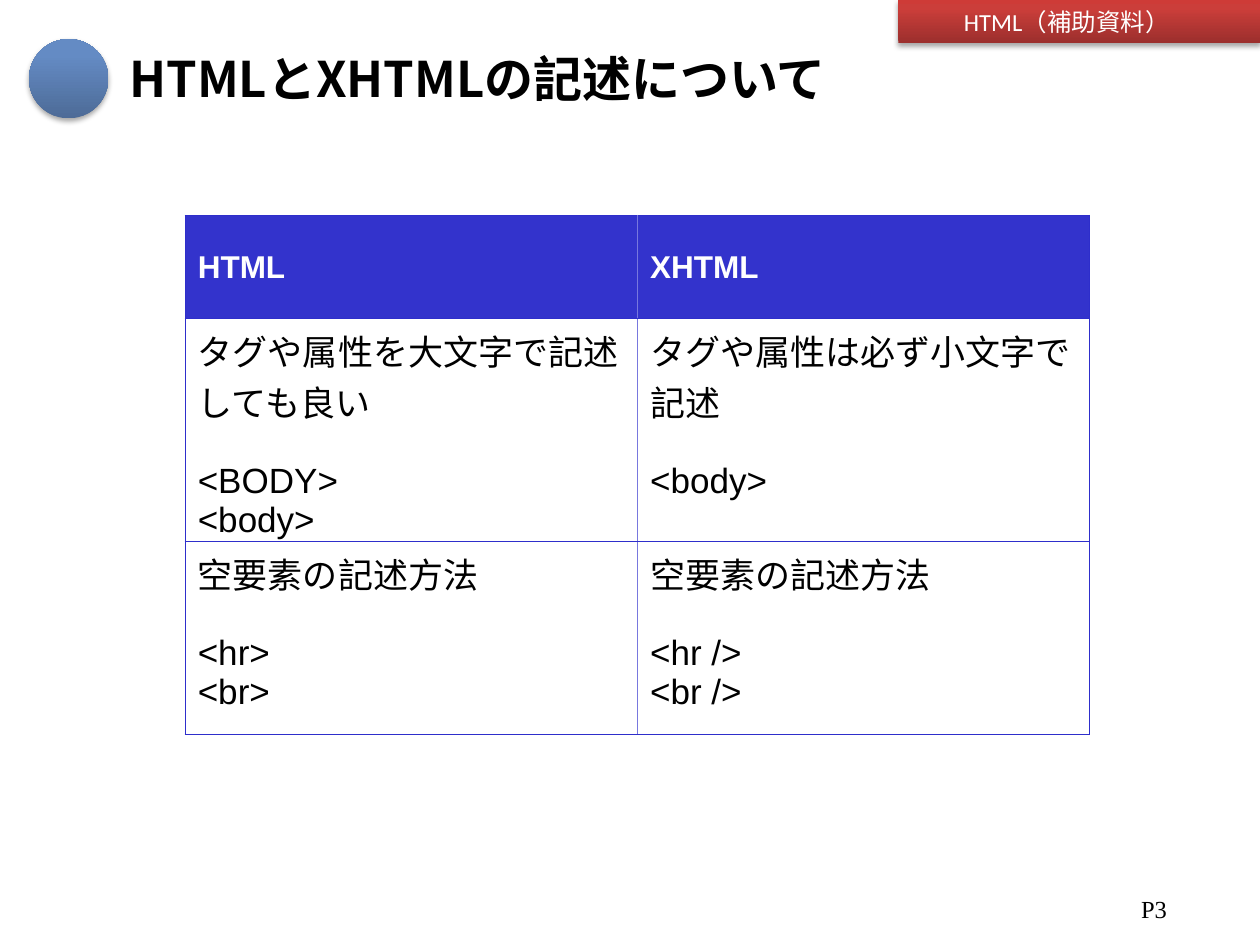
"""Build a slide comparing how HTML and XHTML are written."""
from lxml import etree
from pptx import Presentation, util as u
from pptx.dml.color import RGBColor
from pptx.enum import shapes, text
from pptx.oxml import parse_xml
from pptx.oxml.ns import qn

NS = 'xmlns:a="http://schemas.openxmlformats.org/drawingml/2006/main"'
JAPANESE = "Noto Sans CJK JP"


def rgb(value):
    return RGBColor.from_string(value)


def write(paragraph, words, size, font, color, bold=False):
    run = paragraph.add_run()
    run.text = words
    run.font.size = u.Pt(size)
    run.font.bold = bold
    run.font.color.rgb = rgb(color)
    run.font.name = font
    etree.SubElement(run.font._element, qn("a:ea")).set("typeface", JAPANESE)


deck = Presentation()
deck.slide_width, deck.slide_height = u.Inches(10), u.Inches(7.5)
slide = deck.slides.add_slide(deck.slide_layouts[6])

decorations = []
for preset, box, stops in [
    (shapes.MSO_SHAPE.RECTANGLE, (7.13, 0, 2.87, 0.34), ("9C2F2D", "CB3E3A", "CE3B37")),
    (shapes.MSO_SHAPE.OVAL, (0.23, 0.31, 0.63, 0.63), ("4D6B97", "648BC4", "638BC7")),
]:
    decoration = slide.shapes.add_shape(preset, *map(u.Inches, box))
    decoration.line.fill.background()
    decoration.shadow.inherit = False
    marks = "".join(
        f'<a:gs pos="{share * 1000}"><a:srgbClr val="{color}"/></a:gs>'
        for share, color in zip((0, 80, 100), stops)
    )
    properties = decoration._element.spPr
    properties.find(qn("a:prstGeom")).addnext(parse_xml(
        f'<a:gradFill {NS} rotWithShape="1"><a:gsLst>{marks}</a:gsLst>'
        '<a:lin ang="16200000" scaled="0"/></a:gradFill>'))
    properties.find(qn("a:effectLst")).append(parse_xml(
        f'<a:outerShdw {NS} blurRad="{u.Pt(3.1)}" dist="{u.Pt(1.8)}" dir="5400000" '
        'rotWithShape="0"><a:srgbClr val="000000"><a:alpha val="35000"/></a:srgbClr>'
        '</a:outerShdw>'))
    decorations.append(decoration)

banner = decorations[0].text_frame
banner.vertical_anchor = text.MSO_ANCHOR.MIDDLE
banner.paragraphs[0].alignment = text.PP_ALIGN.CENTER
write(banner.paragraphs[0], "HTML（補助資料）\u3000".replace("\u3000", "　"), 14, "Calibri", "FFFFFF")

for box, words, size, font, bold, align, anchor in [
    ((7.28, 7.05, 2.08, 0.5), "P3", 14, "Times New Roman", False,
     text.PP_ALIGN.RIGHT, text.MSO_ANCHOR.TOP),
    ((0.93, 0.33, 7.07, 0.58), "HTMLとXHTMLの記述について", 28, JAPANESE, True,
     text.PP_ALIGN.LEFT, text.MSO_ANCHOR.MIDDLE),
]:
    frame = slide.shapes.add_textbox(*map(u.Inches, box)).text_frame
    frame.word_wrap = True
    frame.vertical_anchor = anchor
    frame.paragraphs[0].alignment = align
    write(frame.paragraphs[0], words, size, font, "000000", bold)

comparison = [
    [["HTML"], ["XHTML"]],
    [["タグや属性を大文字で記述しても良い", "<BODY>", "<body>"],
     ["タグや属性は必ず小文字で記述", "<body>"]],
    [["空要素の記述方法", "<hr>", "<br>"],
     ["空要素の記述方法", "<hr />", "<br />"]],
]
row_heights = (0.82, 1.77, 1.53)
table = slide.shapes.add_table(
    3, 2, *map(u.Inches, (1.47, 1.71, 7.18, sum(row_heights)))).table
table.horz_banding = False

for row, (height, entries) in enumerate(zip(row_heights, comparison)):
    table.rows[row].height = u.Inches(height)
    heading = row == 0
    for column, lines in enumerate(entries):
        cell = table.cell(row, column)
        cell.margin_bottom = 0 if not heading else u.Inches(0.05)
        cell.vertical_anchor = text.MSO_ANCHOR.MIDDLE if heading else text.MSO_ANCHOR.TOP
        for side in "LRTB":
            inner = side == "RL"[column]
            color, width = ("7878DE", 1) if inner else ("2E2ECB", 0.75)
            cell._tc.get_or_add_tcPr().append(parse_xml(
                f'<a:ln{side} {NS} w="{u.Pt(width)}"><a:solidFill>'
                f'<a:srgbClr val="{color}"/></a:solidFill></a:ln{side}>'))
        cell.fill.solid()
        cell.fill.fore_color.rgb = rgb("3333CC" if heading else "FFFFFF")
        for number, line in enumerate(lines):
            frame = cell.text_frame
            paragraph = frame.add_paragraph() if number else frame.paragraphs[0]
            if number == 1:
                paragraph.space_before = u.Pt(20)
            write(paragraph, line, 18 if heading else 20, "Arial",
                  "FFFFFF" if heading else "000000", heading)

deck.save("out.pptx")
